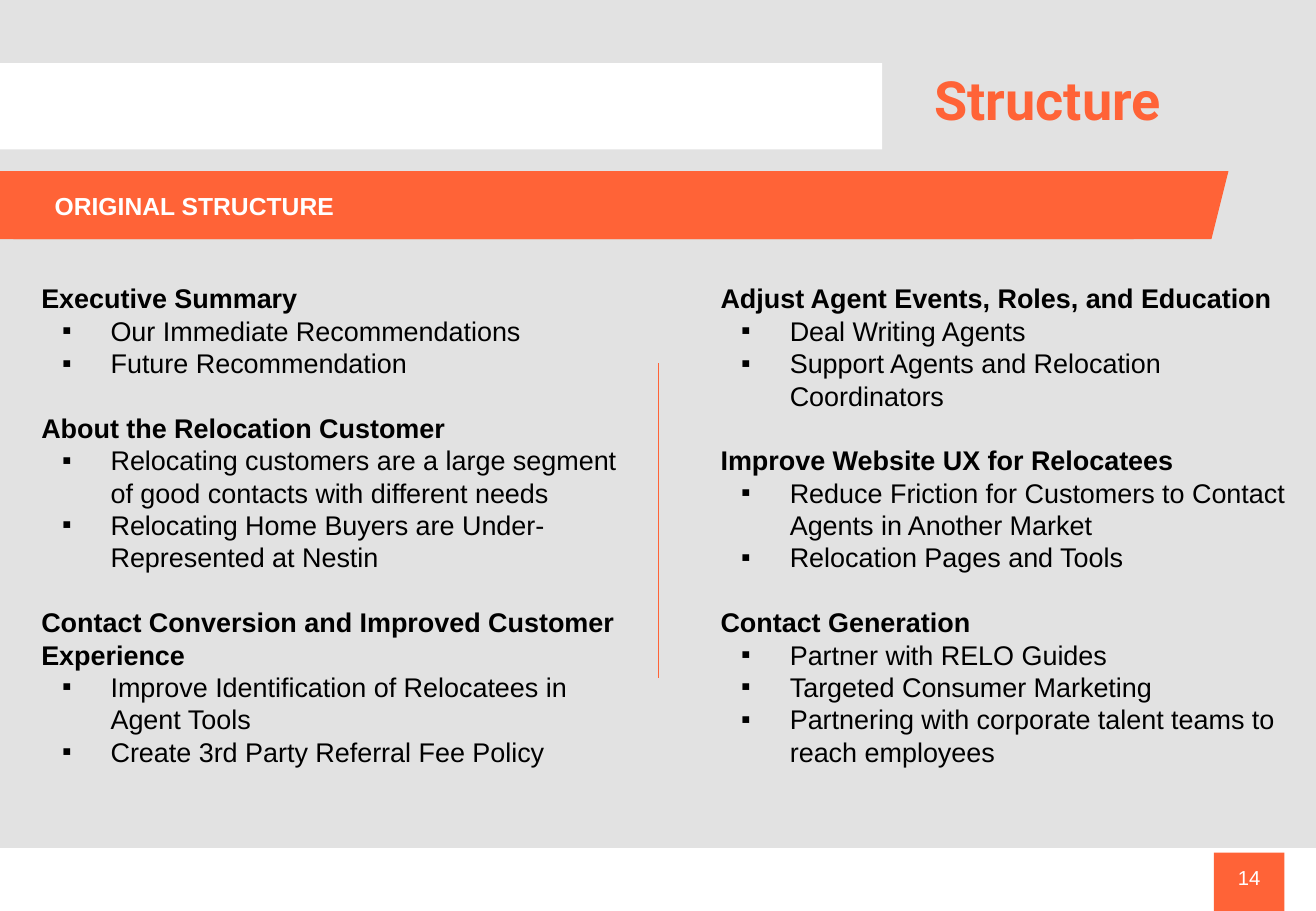
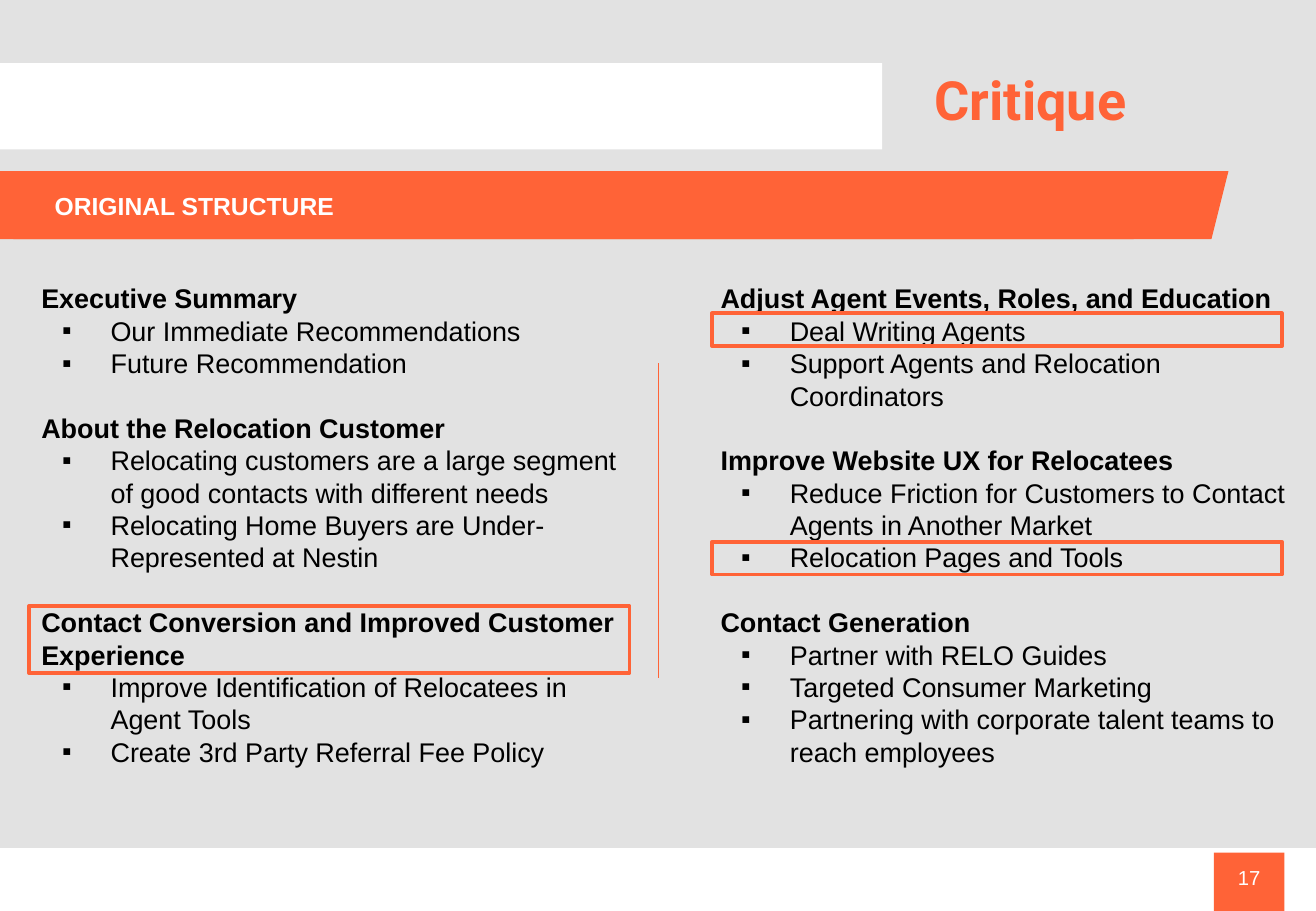
from pptx import Presentation
from pptx.dml.color import RGBColor
from pptx.enum.shapes import MSO_CONNECTOR, MSO_SHAPE
from pptx.enum.text import MSO_ANCHOR, MSO_AUTO_SIZE, PP_ALIGN
from pptx.oxml.ns import qn
from pptx.util import Inches, Pt
from lxml import etree

RECT, SLANT = MSO_SHAPE.RECTANGLE, MSO_SHAPE.PARALLELOGRAM
STRAIGHT = MSO_CONNECTOR.STRAIGHT
TOP, MIDDLE = MSO_ANCHOR.TOP, MSO_ANCHOR.MIDDLE
LEFT, CENTER = PP_ALIGN.LEFT, PP_ALIGN.CENTER
NO_FIT = MSO_AUTO_SIZE.NONE

ORANGE = RGBColor(0xFF, 0x63, 0x37)
GREY = RGBColor(0xE2, 0xE2, 0xE2)
WHITE = RGBColor(0xFF, 0xFF, 0xFF)
BLACK = RGBColor(0, 0, 0)

BANNER = "ORIGINAL STRUCTURE"
COLUMNS = [
    ((0.24, 2.25, 4.99, 4.14), [
        ("Executive Summary",
         ["Our Immediate Recommendations", "Future Recommendation"]),
        ("About the Relocation Customer",
         ["Relocating customers are a large segment of good contacts with different needs",
          "Relocating Home Buyers are Under-Represented at Nestin"]),
        ("Contact Conversion and Improved Customer Experience",
         ["Improve Identification of Relocatees in Agent Tools",
          "Create 3rd Party Referral Fee Policy"]),
    ]),
    ((5.83, 2.25, 4.88, 4.14), [
        ("Adjust Agent Events, Roles, and Education",
         ["Deal Writing Agents", "Support Agents and Relocation Coordinators"]),
        ("Improve Website UX for Relocatees",
         ["Reduce Friction for Customers to Contact Agents in Another Market",
          "Relocation Pages and Tools"]),
        ("Contact Generation",
         ["Partner with RELO Guides", "Targeted Consumer Marketing",
          "Partnering with corporate talent teams to reach employees"]),
    ]),
]
MARKS = [(0.24, 4.99, 4.94, 0.55), (5.86, 2.58, 4.69, 0.27), (5.86, 4.46, 4.69, 0.27)]
PAGES = [("Structure", "14", []), ("Critique", "17", MARKS)]

TITLE_FONT = {"name": "Roboto", "size": Pt(32), "bold": True}
BANNER_FONT = {"name": "Arial", "size": Pt(14.6), "bold": True}
PAGE_FONT = {"name": "Arial", "size": Pt(12), "bold": False}
HEAD_FONT = {"name": "Arial", "size": Pt(16), "bold": True}
ITEM_FONT = {**HEAD_FONT, "bold": False}
PITCH = Pt(19.2)
FLUSH = {"alignment": LEFT, "space_before": 0, "space_after": 0}
ROW = {**FLUSH, "line_spacing": PITCH}
FRAME = {"word_wrap": True, "auto_size": NO_FIT}


def apply(target, values):
    for key, value in values.items():
        setattr(target, key, value)


def place(shape, box):
    sides = ("left", "top", "width", "height")
    apply(shape, dict(zip(sides, map(Inches, box))))


def style(par, text, font, color, form):
    par.text = text
    apply(par, form)
    run = par.runs[0].font
    apply(run, font)
    run.color.rgb = color


def bullet(par, char=None):
    props = par._p.get_or_add_pPr()
    left, hang = (0.57, -0.4) if char else (0, 0)
    props.set("marL", str(Inches(left)))
    props.set("indent", str(Inches(hang)))
    if char:
        etree.SubElement(props, qn("a:buChar")).set("char", char)
    else:
        etree.SubElement(props, qn("a:buNone"))


def block(slide, box, fill=None, kind=RECT):
    shape = slide.shapes.add_shape(kind, *map(Inches, box))
    shape.shadow.inherit = False
    if fill is None:
        shape.fill.background()
        shape.line.color.rgb = ORANGE
        shape.line.width = Pt(2.25)
    else:
        shape.fill.solid()
        shape.fill.fore_color.rgb = fill
        shape.line.fill.background()
    return shape


def label(shape, text, font, form, **frame):
    apply(shape.text_frame, {**FRAME, "vertical_anchor": MIDDLE, **frame})
    style(shape.text_frame.paragraphs[0], text, font, WHITE, form)


def backdrop(slide, number):
    block(slide, (0, 0, 10.83, 6.98), GREY)
    block(slide, (0, 0.52, 7.26, 0.71), WHITE)
    block(slide, (0.11, 1.41, 10, 0.56), ORANGE, SLANT)
    band = block(slide, (0, 1.41, 9.33, 0.56), ORANGE)
    label(band, BANNER, BANNER_FONT, FLUSH, margin_left=Inches(0.45))
    tab = block(slide, (9.99, 7.02, 0.58, 0.48), ORANGE)
    label(tab, number, PAGE_FONT, {"alignment": CENTER}, margin_bottom=Inches(0.13))
    rule = slide.shapes.add_connector(
        STRAIGHT, *map(Inches, (5.42, 2.99, 5.42, 5.58)))
    rule.line.color.rgb = ORANGE
    rule.line.width = Pt(0.5)
    etree.SubElement(rule._element.spPr, qn("a:effectLst"))


def outline(body, box, groups):
    place(body, box)
    frame = body.text_frame
    apply(frame, {**FRAME, "vertical_anchor": MIDDLE})
    par = frame.paragraphs[0]
    for index, (head, items) in enumerate(groups):
        if index:
            par = frame.add_paragraph()
        gap = PITCH if index else 0
        style(par, head, HEAD_FONT, BLACK, {**ROW, "space_before": gap})
        bullet(par)
        for item in items:
            par = frame.add_paragraph()
            style(par, item, ITEM_FONT, BLACK, {**ROW, "level": 1})
            bullet(par, "▪")


def build(deck, name, number, marks):
    slide = deck.slides.add_slide(deck.slide_layouts[3])
    title, *bodies = slide.placeholders
    backdrop(slide, number)
    place(title, (7.59, 0.5, 2.94, 0.64))
    apply(title.text_frame, {**FRAME, "vertical_anchor": TOP})
    style(title.text_frame.paragraphs[0], name, TITLE_FONT, ORANGE, FLUSH)
    for body, (box, groups) in zip(bodies, COLUMNS):
        outline(body, box, groups)
    for shape in (title, *bodies):
        slide.shapes._spTree.append(shape._element)
    for box in marks:
        block(slide, box)


def main():
    deck = Presentation()
    deck.slide_width, deck.slide_height = Inches(10.83), Inches(7.5)
    for page in PAGES:
        build(deck, *page)
    deck.save("out.pptx")


if __name__ == "__main__":
    main()
